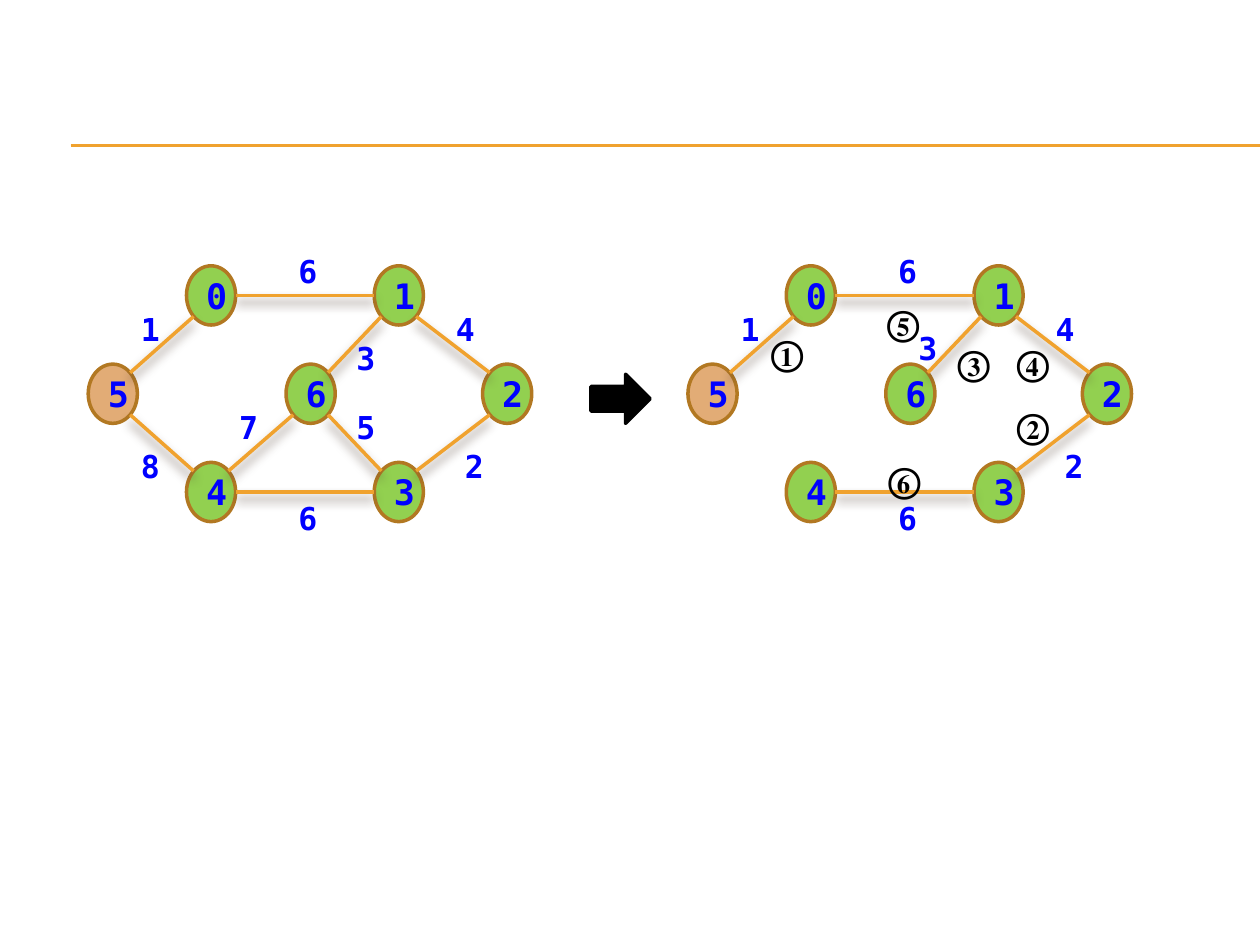
from dataclasses import dataclass
from lxml import etree
from pptx import Presentation
from pptx.dml.color import RGBColor
from pptx.enum.shapes import MSO_CONNECTOR, MSO_SHAPE
from pptx.enum.text import MSO_ANCHOR, MSO_AUTO_SIZE, PP_ALIGN
from pptx.oxml.ns import qn
from pptx.util import Pt

LINE = MSO_CONNECTOR.STRAIGHT
OVAL, ARROW = MSO_SHAPE.OVAL, MSO_SHAPE.RIGHT_ARROW
MIDDLE, CENTER = MSO_ANCHOR.MIDDLE, PP_ALIGN.CENTER
GROW = MSO_AUTO_SIZE.SHAPE_TO_FIT_TEXT
SCALE = 9144


@dataclass(frozen=True)
class Theme:
    edge: str = "F0A22E"
    rim: str = "B27822"
    node: str = "92D050"
    start: str = "E2AC76"
    label: str = "0000FF"
    ink: str = "000000"
    shade: str = "4E3B30"
    mono: str = "DejaVu Sans Mono"
    serif: str = "Times New Roman"
    big: int = 20
    small: int = 18
    thin: float = 0.75
    thick: int = 2


THEME = Theme()
NODE_W, NODE_H = 39, 47
DIAG = 0.71
START = "5"
NODES = {
    "5": (70, 289), "0": (148, 211), "4": (148, 367), "1": (297, 211),
    "3": (297, 367), "6": (227, 289), "2": (383, 289),
}
EDGES = [
    ("5", "0", "1", (102, 241)), ("0", "1", "6", (227, 195)),
    ("6", "1", "3", (273, 264)), ("6", "4", "7", (180, 319)),
    ("5", "4", "8", (102, 350)), ("4", "3", "6", (227, 391)),
    ("6", "3", "5", (273, 319)), ("1", "2", "4", (352, 241)),
    ("3", "2", "2", (359, 350)),
]
DROPPED = [("6", "4"), ("5", "4"), ("6", "3")]
MOVED = {("6", "1"): (243, 256)}
TREE = [
    (a, b, cost, MOVED.get((a, b), spot))
    for a, b, cost, spot in EDGES if (a, b) not in DROPPED
]
GRAPHS = [(0, EDGES), (476, TREE)]
STEPS = [
    ("⑥", 695, 359), ("①", 602, 258), ("②", 797, 316),
    ("③", 750, 266), ("④", 797, 266), ("⑤", 694, 234),
]
RULES = [115, 116]


def px(*sizes):
    return [round(size * SCALE) for size in sizes]


def color(name):
    return RGBColor.from_string(name)


def write(shape, text, font, size, tint):
    frame = shape.text_frame
    frame.text = text
    style = frame.paragraphs[0].runs[0].font
    style.name, style.size, style.bold = font, Pt(size), True
    style.color.rgb = color(tint)
    return frame


def add_line(shapes, begin, end, width, shadow=False):
    line = shapes.add_connector(LINE, *px(*begin, *end))
    line.line.color.rgb = color(THEME.edge)
    line.line.width = Pt(width)
    effects = etree.SubElement(line._element.spPr, qn("a:effectLst"))
    if shadow:
        outer = etree.SubElement(
            effects, qn("a:outerShdw"), blurRad=str(Pt(6)), dist=str(Pt(4)),
            dir="5400000", rotWithShape="0")
        tint = etree.SubElement(outer, qn("a:srgbClr"), val=THEME.shade)
        etree.SubElement(tint, qn("a:alpha"), val="60000")


def add_shape(shapes, kind, box, fill, rim):
    shape = shapes.add_shape(kind, *px(*box))
    shape.shadow.inherit = False
    shape.fill.solid()
    shape.fill.fore_color.rgb = color(fill)
    shape.line.color.rgb = color(rim)
    shape.line.width = Pt(THEME.thick)
    return shape


def add_label(shapes, text, box, font, size, tint, wrap):
    label = shapes.add_textbox(*px(*box))
    frame = write(label, text, font, size, tint)
    frame.word_wrap = wrap
    frame.auto_size = GROW


def rim_point(node, other, shift):
    x, y = NODES[node]
    far_x, far_y = NODES[other]
    side = 1 if far_x > x else -1
    rise = (far_y > y) - (far_y < y)
    reach = DIAG if rise else 1
    return (shift + x + NODE_W / 2 * (1 + side * reach),
            y + NODE_H / 2 * (1 + rise * reach))


def add_graph(slide, shift, edges):
    shapes = slide.shapes.add_group_shape().shapes
    for name, (x, y) in NODES.items():
        fill = THEME.start if name == START else THEME.node
        box = (x + shift, y, NODE_W, NODE_H)
        node = add_shape(shapes, OVAL, box, fill, THEME.rim)
        frame = write(node, name, THEME.mono, THEME.big, THEME.label)
        frame.vertical_anchor = MIDDLE
        frame.paragraphs[0].alignment = CENTER
    for a, b, _, _ in edges:
        add_line(shapes, rim_point(a, b, shift), rim_point(b, a, shift),
                 THEME.thick, True)
    for _, _, cost, (x, y) in edges:
        add_label(shapes, cost, (x + shift, y, 31, 40),
                  THEME.mono, THEME.small, THEME.label, True)


def main():
    deck = Presentation()
    deck.slide_width, deck.slide_height = px(1000, 750)
    slide = deck.slides.add_slide(deck.slide_layouts[6])
    for y in RULES:
        add_line(slide.shapes, (56, y), (1000, y), THEME.thin)
    for shift, edges in GRAPHS:
        add_graph(slide, shift, edges)
    add_shape(slide.shapes, ARROW, (469, 297, 47, 39), THEME.ink, THEME.ink)
    for mark, x, y in STEPS:
        add_label(slide.shapes, mark, (x, y, 48, 44),
                  THEME.serif, THEME.big, THEME.ink, False)
    deck.save("out.pptx")


if __name__ == "__main__":
    main()
